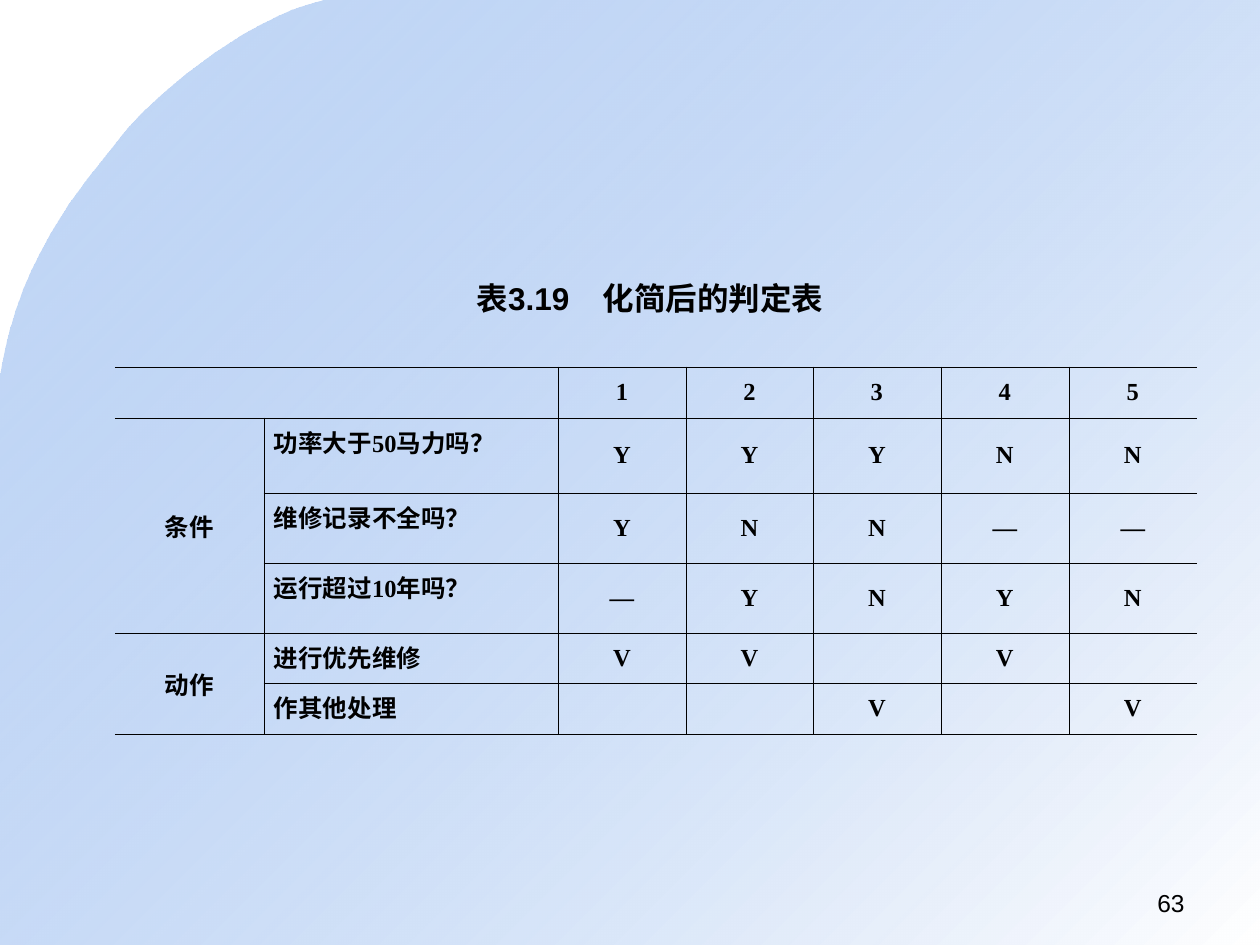
from lxml import etree
from pptx import Presentation
from pptx.dml.color import RGBColor
from pptx.enum.text import MSO_ANCHOR, MSO_AUTO_SIZE, PP_ALIGN
from pptx.oxml import parse_xml
from pptx.oxml.ns import qn
from pptx.util import Pt

LEFT, CENTER, RIGHT, JUSTIFY = PP_ALIGN.LEFT, PP_ALIGN.CENTER, PP_ALIGN.RIGHT, PP_ALIGN.JUSTIFY
TOP, MIDDLE = MSO_ANCHOR.TOP, MSO_ANCHOR.MIDDLE

EMU_PER_PX = 914400 / 126
WIDTH, HEIGHT = 1260, 945
COLORS = {"ink": "000000", "blue": "699DE9", "white": "FFFFFF"}

TITLE = "表3.19\t化简后的判定表"
PAGE_NUMBER = "63"
ROWS = [
    ["", "", "1", "2", "3", "4", "5"],
    ["条件", "功率大于50马力吗？", "Y", "Y", "Y", "N", "N"],
    ["", "维修记录不全吗？", "Y", "N", "N", "—", "—"],
    ["", "运行超过10年吗？", "—", "Y", "N", "Y", "N"],
    ["动作", "进行优先维修", "V", "V", "", "V", ""],
    ["", "作其他处理", "", "", "V", "", "V"],
]
MERGES = [((0, 0), (0, 1)), ((1, 0), (3, 0)), ((4, 0), (5, 0))]
COLUMN_WIDTHS = [149, 294, 128, 127, 128, 128, 128]
ROW_HEIGHTS = [51, 75, 70, 70, 50, 51]
TABLE_LEFT, TABLE_TOP = 115, 367
BORDER = Pt(0.45)

# Cubic curves of the backdrop's rounded corner: start, two controls, end
CORNER = [
    [(325, 0), (239, 20), (146, 105), (123, 135)],
    [(123, 135), (101, 166), (20, 244), (0, 379)],
]
CURVE_STEPS = 16


def px(length):
    return round(length * EMU_PER_PX)


def curve_points(curve):
    for step in range(1, CURVE_STEPS + 1):
        t = step / CURVE_STEPS
        weights = ((1 - t) ** 3, 3 * t * (1 - t) ** 2, 3 * t * t * (1 - t), t ** 3)
        yield tuple(sum(w * point[axis] for w, point in zip(weights, curve)) for axis in (0, 1))


def add_backdrop(page):
    outline = [point for curve in CORNER for point in curve_points(curve)]
    outline += [(0, HEIGHT), (WIDTH, HEIGHT), (WIDTH, 0)]
    builder = page.shapes.build_freeform(*map(px, CORNER[0][0]))
    builder.add_line_segments([(px(x), px(y)) for x, y in outline], close=True)
    backdrop = builder.convert_to_shape()
    backdrop.shadow.inherit = False
    backdrop.line.fill.background()
    backdrop.fill.gradient()
    properties = backdrop.element.spPr
    gradient = parse_xml(
        '<a:gradFill xmlns:a="http://schemas.openxmlformats.org/drawingml/2006/main"><a:gsLst>'
        f'<a:gs pos="0"><a:srgbClr val="{COLORS["blue"]}"><a:alpha val="39000"/></a:srgbClr></a:gs>'
        f'<a:gs pos="100000"><a:srgbClr val="{COLORS["white"]}"/></a:gs>'
        '</a:gsLst><a:lin ang="2700000" scaled="0"/></a:gradFill>')
    properties.replace(properties.find(qn("a:gradFill")), gradient)
    page.shapes.element.insert(2, backdrop.element)  # behind the title


def set_text(frame, text, size, font, bold, align):
    frame.text = text
    paragraph = frame.paragraphs[0]
    paragraph.alignment = align
    for span in paragraph.runs:
        span.font.size = Pt(size)
        span.font.name = font
        span.font.bold = bold
        span.font.color.rgb = RGBColor.from_string(COLORS["ink"])
    return paragraph


def set_borders(cell, hidden):
    properties = cell._tc.get_or_add_tcPr()
    for index, side in enumerate(("lnL", "lnR", "lnT", "lnB")):
        line = etree.Element(qn("a:" + side), w=str(int(BORDER)))
        if side in hidden:
            etree.SubElement(line, qn("a:noFill"))
        else:
            fill = etree.SubElement(line, qn("a:solidFill"))
            etree.SubElement(fill, qn("a:srgbClr"), val=COLORS["ink"])
        properties.insert(index, line)


def add_decision_table(page):
    table = page.shapes.add_table(
        len(ROWS), len(COLUMN_WIDTHS), px(TABLE_LEFT), px(TABLE_TOP),
        px(sum(COLUMN_WIDTHS)), px(sum(ROW_HEIGHTS))).table
    table.first_row = table.horz_banding = False
    for column, width in zip(table.columns, COLUMN_WIDTHS):
        column.width = px(width)
    for row, height in zip(table.rows, ROW_HEIGHTS):
        row.height = px(height)
    last = len(COLUMN_WIDTHS) - 1
    for r, texts in enumerate(ROWS):
        for c, text in enumerate(texts):
            cell = table.cell(r, c)
            cell.fill.background()
            set_borders(cell, {0: ["lnL"], last: ["lnR"]}.get(c, []))
            cell.margin_left = cell.margin_right = px(10)
            cell.margin_top = cell.margin_bottom = px(6)
            cell.vertical_anchor = TOP if c == 1 else MIDDLE
            if text:
                paragraph = set_text(cell.text_frame, text, 14, "Times New Roman", True,
                                     JUSTIFY if c == 1 else CENTER)
                paragraph.space_before = paragraph.space_after = Pt(1.2 if r == 0 else 1)
    for first, end in MERGES:
        table.cell(*first).merge(table.cell(*end))


def main():
    deck = Presentation()
    deck.slide_width, deck.slide_height = px(WIDTH), px(HEIGHT)
    page = deck.slides.add_slide(deck.slide_layouts[5])
    add_backdrop(page)
    add_decision_table(page)

    title = page.shapes.title
    title.left, title.top, title.width, title.height = map(px, (464, 273, 372, 51))
    set_text(title.text_frame, TITLE, 18, "Arial", True, LEFT)
    title.text_frame.word_wrap = False
    title.text_frame.auto_size = MSO_AUTO_SIZE.SHAPE_TO_FIT_TEXT
    title.text_frame.vertical_anchor = TOP

    number = page.shapes.add_textbox(*map(px, (903, 882, 294, 44)))
    number.text_frame.word_wrap = True
    set_text(number.text_frame, PAGE_NUMBER, 14, "Arial", False, RIGHT)

    deck.save("out.pptx")


if __name__ == "__main__":
    main()
